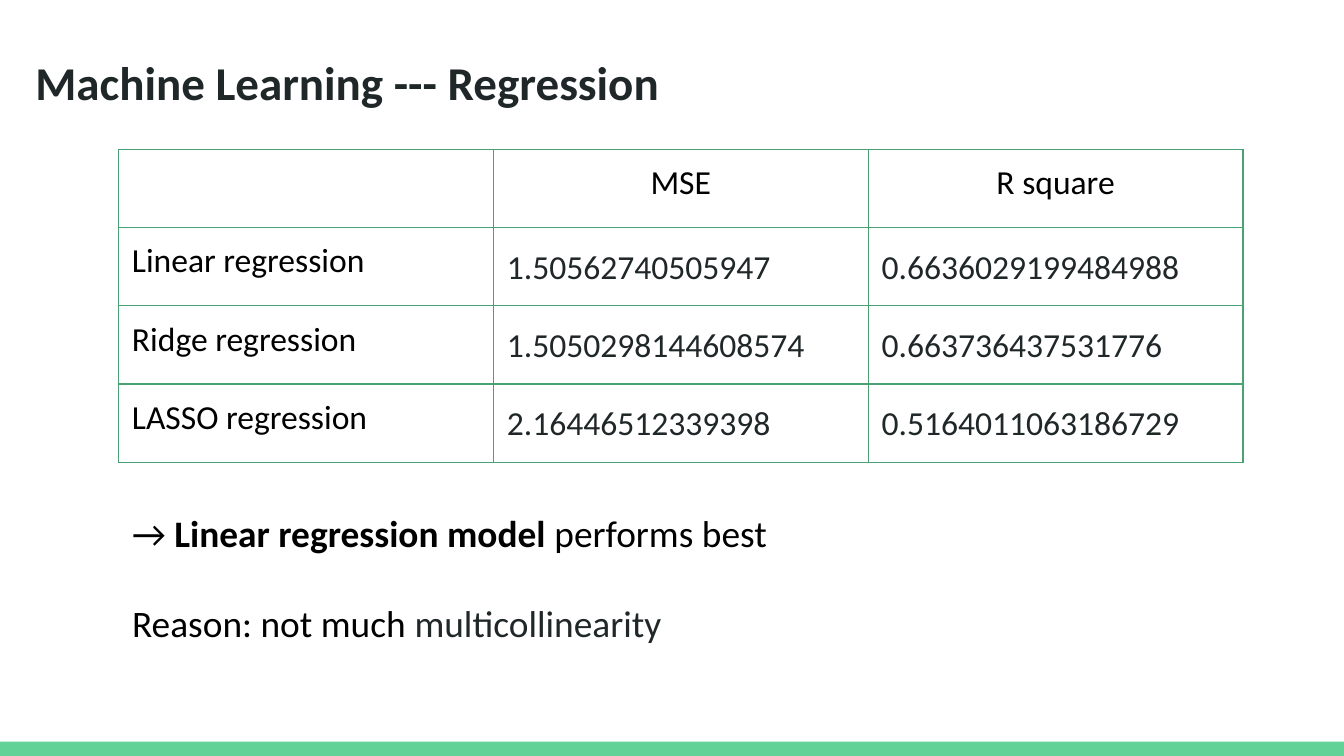
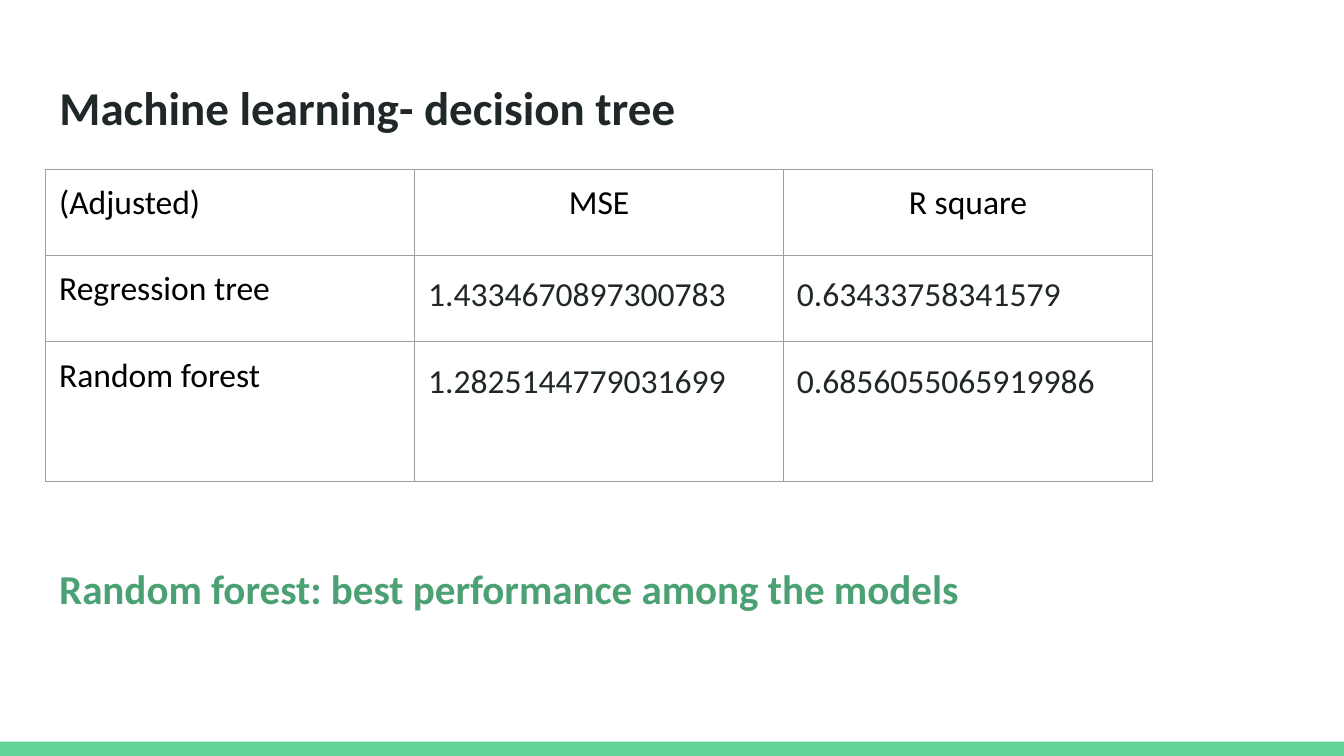
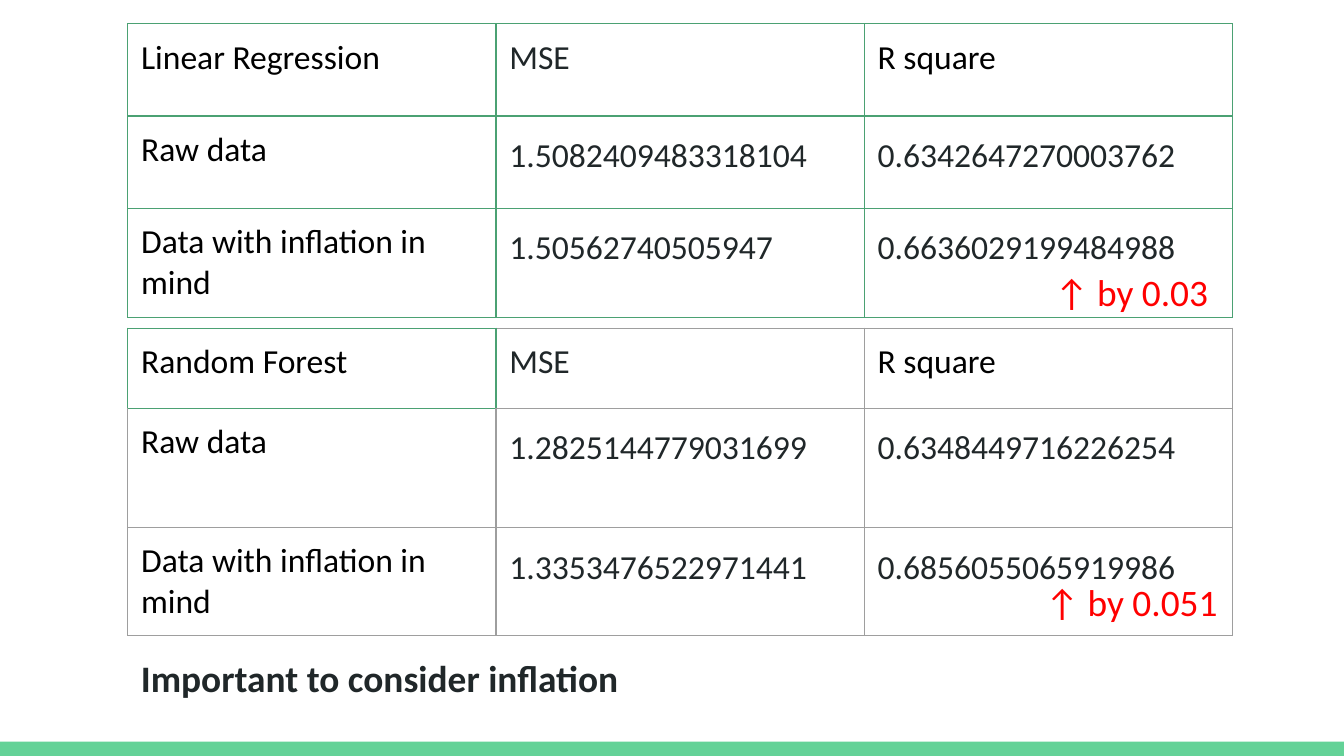
from dataclasses import dataclass

from lxml.etree import SubElement
from pptx import Presentation
from pptx.dml.color import RGBColor
from pptx.enum.shapes import MSO_SHAPE as Preset, PP_PLACEHOLDER as Placeholder
from pptx.enum.text import MSO_ANCHOR as Anchor, MSO_AUTO_SIZE as AutoSize, PP_ALIGN as Align
from pptx.oxml.ns import qn
from pptx.util import Inches, Pt

COLORS = {
    "band": "63D297",
    "green": "4BA173",
    "grey": "9E9E9E",
    "dark": "202729",
    "black": "000000",
    "red": "FF0000",
}
FONT = "Calibri"
WIDTH = Inches(10)
HEIGHT = WIDTH * 9 // 16
INSET = Inches(0.1)
BAND_HEIGHT = 1.9
TITLE_SIZE = (93.2, 11.2)
TITLE_ONLY, BLANK = 5, 6


def across(percent: float) -> int:
    return round(WIDTH * percent / 100)


def down(percent: float) -> int:
    return round(HEIGHT * percent / 100)


@dataclass
class Box:
    """A rectangle in percent of the slide's width and height."""
    left: float
    top: float
    width: float
    height: float

    def lengths(self) -> tuple[int, int, int, int]:
        return across(self.left), down(self.top), across(self.width), down(self.height)


@dataclass
class ResultTable:
    left: float
    top: float
    column_width: float
    row_heights: list[float]
    rows: list[list[str]]
    border: str = "green"
    centred_header: bool = True
    first_cell_border: str | None = None

    def edge_color(self, row: int, column: int, edge: str) -> str:
        """Border colour of one cell edge; edges of the first cell may differ."""
        touches_first = (row, column) == (0, 0) or (row, column, edge) in ((0, 1, "L"), (1, 0, "T"))
        if self.first_cell_border and touches_first:
            return self.first_cell_border
        return self.border


def add_run(paragraph, text: str, *, size: float, color: str = "black", bold: bool = False) -> None:
    run = paragraph.add_run()
    run.text = text
    run.font.name = FONT
    run.font.size = Pt(size)
    run.font.bold = bold
    run.font.color.rgb = RGBColor.from_string(COLORS[color])


def prepare_frame(frame, auto_size=AutoSize.NONE) -> None:
    frame.word_wrap = True
    frame.auto_size = auto_size
    frame.vertical_anchor = Anchor.TOP
    frame.margin_left = frame.margin_right = frame.margin_top = frame.margin_bottom = INSET


def add_text(slide, box: Box, text: str, **run_format):
    """Add a text box and return its text frame."""
    frame = slide.shapes.add_textbox(*box.lengths()).text_frame
    prepare_frame(frame, AutoSize.SHAPE_TO_FIT_TEXT)
    add_run(frame.paragraphs[0], text, **run_format)
    return frame


def place(shape, box: Box) -> None:
    shape.left, shape.top, shape.width, shape.height = box.lengths()


def set_title(slide, text: str, left: float, top: float) -> None:
    title = slide.shapes.title
    place(title, Box(left, top, *TITLE_SIZE))
    prepare_frame(title.text_frame)
    paragraph = title.text_frame.paragraphs[0]
    paragraph.alignment = Align.LEFT
    add_run(paragraph, text, size=25.2, color="dark", bold=True)


def set_edge(cell, position: int, edge: str, color: str) -> None:
    properties = cell._tc.get_or_add_tcPr()
    line = SubElement(properties, qn(f"a:ln{edge}"), w=str(Pt(0.75)))
    fill = SubElement(line, qn("a:solidFill"))
    SubElement(fill, qn("a:srgbClr"), val=COLORS[color])
    properties.insert(position, line)


def add_result_table(slide, design: ResultTable) -> None:
    columns = len(design.rows[0])
    box = Box(design.left, design.top, design.column_width * columns, sum(design.row_heights))
    table = slide.shapes.add_table(len(design.rows), columns, *box.lengths()).table
    table.first_row = table.horz_banding = False
    for column in table.columns:
        column.width = across(design.column_width)
    for row_index, (height, texts) in enumerate(zip(design.row_heights, design.rows)):
        table.rows[row_index].height = down(height)
        for column_index, text in enumerate(texts):
            cell = table.cell(row_index, column_index)
            cell.fill.background()
            cell.margin_left = cell.margin_right = cell.margin_top = cell.margin_bottom = INSET
            for position, edge in enumerate("LRTB"):
                set_edge(cell, position, edge, design.edge_color(row_index, column_index, edge))
            paragraph = cell.text_frame.paragraphs[0]
            color = "black"
            if row_index and column_index:
                paragraph.line_spacing = 1.15
                color = "dark"
            elif column_index and design.centred_header:
                paragraph.alignment = Align.CENTER
            elif column_index == 1:
                color = "dark"
            if text:
                add_run(paragraph, text, size=18, color=color)


def keep_only_titles(presentation) -> None:
    """Drop unused layouts and every master or layout placeholder but the titles."""
    master = presentation.slide_master
    for layout in list(master.slide_layouts):
        if not layout.used_by_slides:
            master.slide_layouts.remove(layout)
    for page in (master, *master.slide_layouts):
        for placeholder in list(page.placeholders):
            if placeholder.placeholder_format.type == Placeholder.TITLE:
                place(placeholder, Box(3.4, 8.65, *TITLE_SIZE))
            else:
                page.shapes.element.remove(placeholder.element)


def add_master_band(presentation, slide) -> None:
    """Draw the bottom band and move it to the master, behind everything."""
    box = Box(0, 100 - BAND_HEIGHT, 100, BAND_HEIGHT)
    band = slide.shapes.add_shape(Preset.RECTANGLE, *box.lengths())
    band.shadow.inherit = False
    band.fill.solid()
    band.fill.fore_color.rgb = RGBColor.from_string(COLORS["band"])
    band.line.fill.background()
    band.element.nvSpPr.cNvPr.set("id", "100")
    presentation.slide_master.shapes.element.insert(2, band.element)


def build_regression(slide) -> None:
    set_title(slide, "Machine Learning --- Regression", 1.63, 5.33)
    add_result_table(slide, ResultTable(8.82, 19.73, 27.89, [10.36] * 4, [
        ["", "MSE", "R square"],
        ["Linear regression", "1.50562740505947", "0.6636029199484988"],
        ["Ridge regression", "1.5050298144608574", "0.663736437531776"],
        ["LASSO regression", "2.16446512339398", "0.5164011063186729"],
    ]))
    frame = add_text(slide, Box(8.84, 65.7, 67.5, 21.51), "→ ", size=20)
    finding = frame.paragraphs[0]
    add_run(finding, "Linear regression model", size=20, bold=True)
    add_run(finding, " performs best", size=20)
    reason = frame.add_paragraph()
    reason.space_before = Pt(24.4)
    add_run(reason, "Reason: not much ", size=20)
    add_run(reason, "multicollinearity", size=20, color="dark")


def build_decision_tree(slide) -> None:
    set_title(slide, "Machine learning- decision tree", 3.42, 8.65)
    conclusion = add_text(slide, Box(3.42, 71.82, *TITLE_SIZE),
                          "Random forest: best performance among the models",
                          size=22, color="green", bold=True)
    conclusion.paragraphs[0].line_spacing = 1.15
    add_result_table(slide, ResultTable(3.4, 22.4, 27.45, [11.38, 11.42, 18.49], [
        ["(Adjusted)", "MSE", "R square"],
        ["Regression tree", "1.4334670897300783", "0.63433758341579"],
        ["Random forest", "1.2825144779031699", "0.6856055065919986"],
    ], border="grey"))


def build_inflation(slide) -> None:
    left, column_width = 9.5, 27.4
    add_result_table(slide, ResultTable(left, 3.13, column_width, [12.22, 12.22, 14.4], [
        ["Linear Regression", "MSE", "R square"],
        ["Raw data", "1.5082409483318104", "0.6342647270003762"],
        ["Data with inflation in mind", "1.50562740505947", "0.6636029199484988"],
    ], centred_header=False))
    add_text(slide, Box(left, 84.9, 49.7, 9.6), "Important to consider inflation",
             size=20, color="dark", bold=True)
    add_result_table(slide, ResultTable(left, 43.42, column_width, [10.6, 15.76, 14.3], [
        ["Random Forest", "MSE", "R square"],
        ["Raw data", "1.2825144779031699", "0.6348449716226254"],
        ["Data with inflation in mind", "1.3353476522971441", "0.6856055065919986"],
    ], border="grey", centred_header=False, first_cell_border="green"))
    for note_left, note_top, gain in ((77.5, 33.78, "↑ by 0.03"), (76.8, 74.84, "↑ by 0.051")):
        add_text(slide, Box(note_left, note_top, 15, 9.6), gain, size=20, color="red")


def main() -> None:
    presentation = Presentation()
    presentation.slide_width, presentation.slide_height = WIDTH, HEIGHT
    pages = ((TITLE_ONLY, build_regression), (TITLE_ONLY, build_decision_tree), (BLANK, build_inflation))
    for layout, build in pages:
        build(presentation.slides.add_slide(presentation.slide_layouts[layout]))
    keep_only_titles(presentation)
    add_master_band(presentation, presentation.slides[0])
    presentation.save("out.pptx")


if __name__ == "__main__":
    main()
